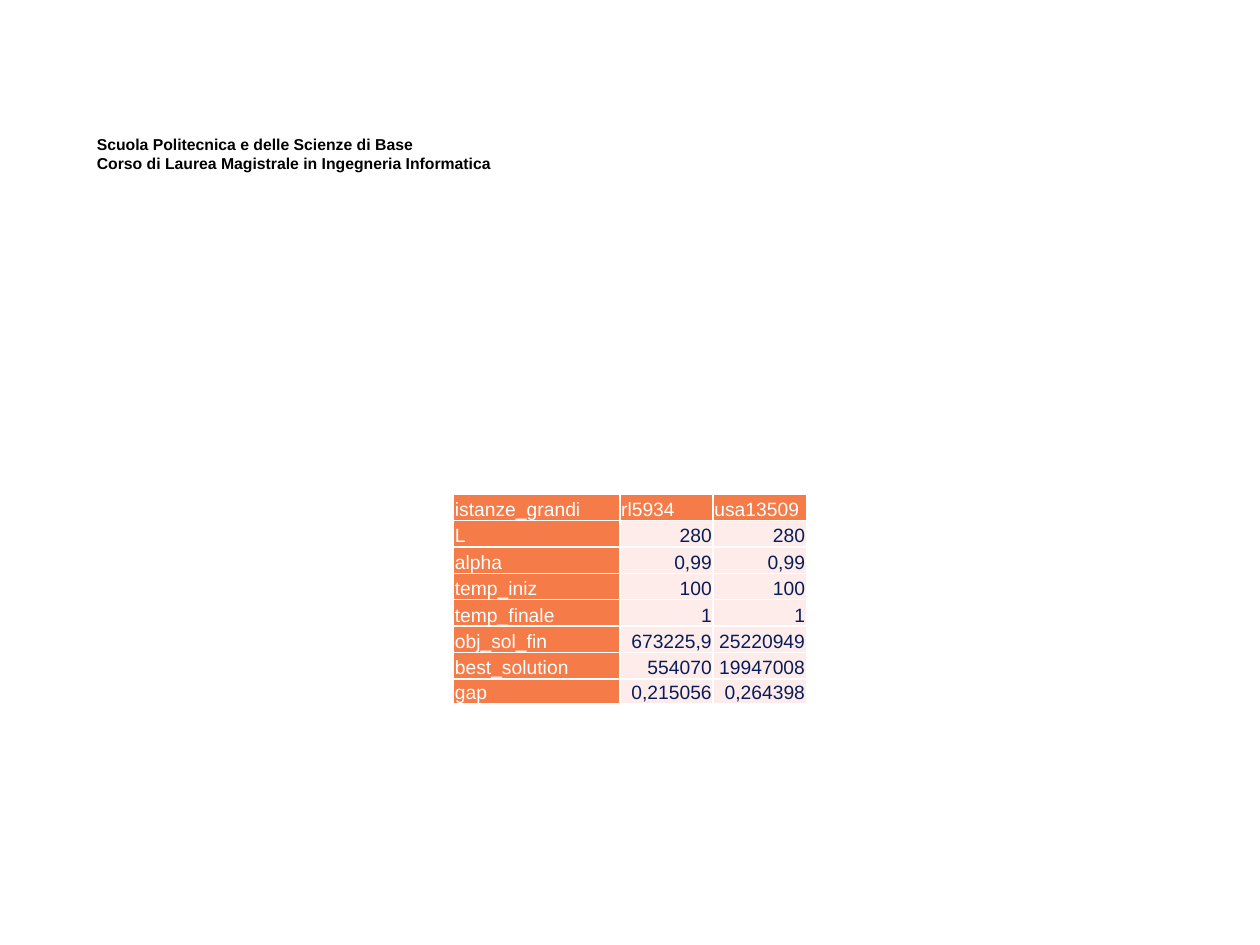
import pptx
import pptx.dml.color
import pptx.enum.text
import pptx.oxml
import pptx.oxml.ns
import pptx.util

Inches = pptx.util.Inches
Pt = pptx.util.Pt
RGBColor = pptx.dml.color.RGBColor

BLACK = RGBColor(0x00, 0x00, 0x00)
WHITE = RGBColor(0xFF, 0xFF, 0xFF)
ORANGE = RGBColor(0xF5, 0x7B, 0x49)
PALE_PINK = RGBColor(0xFD, 0xEC, 0xE9)
NAVY = RGBColor(0x08, 0x1D, 0x58)
FONT = "Arial"

SCHOOL_LINES = [
    "Scuola Politecnica e delle Scienze di Base",
    "Corso di Laurea Magistrale in Ingegneria Informatica",
]
RESULTS = [
    ["istanze_grandi", "rl5934", "usa13509"],
    ["L", "280", "280"],
    ["alpha", "0,99", "0,99"],
    ["temp_iniz", "100", "100"],
    ["temp_finale", "1", "1"],
    ["obj_sol_fin", "673225,9", "25220949"],
    ["best_solution", "554070", "19947008"],
    ["gap", "0,215056", "0,264398"],
]
COLUMN_WIDTHS = [1.32, 0.74, 0.74]
ROW_HEIGHTS = [0.21] * 7 + [0.18]


def format_text(text_frame, size, color, bold):
    for paragraph in text_frame.paragraphs:
        for run in paragraph.runs:
            run.font.name = FONT
            run.font.size = Pt(size)
            run.font.bold = bold
            run.font.color.rgb = color


def add_school_header(slide):
    header = slide.shapes.add_textbox(
        Inches(0.67), Inches(1.02), Inches(4.17), Inches(0.4))
    header.text_frame.word_wrap = True
    header.text_frame.text = "\n".join(SCHOOL_LINES)
    format_text(header.text_frame, 9, BLACK, True)


def set_borders(cell, color, width):
    """Draw all four sides; border elements must precede the cell fill."""
    properties = cell._tc.get_or_add_tcPr()
    for index, side in enumerate(("lnL", "lnR", "lnT", "lnB")):
        border = pptx.oxml.parse_xml(
            f'<a:{side} {pptx.oxml.ns.nsdecls("a")} w="{Pt(width)}">'
            f'<a:solidFill><a:srgbClr val="{color}"/></a:solidFill></a:{side}>')
        properties.insert(index, border)


def format_cell(cell, text, is_heading):
    cell.text_frame.text = text
    cell.margin_left = cell.margin_right = cell.margin_top = Inches(0.01)
    cell.margin_bottom = 0
    cell.vertical_anchor = pptx.enum.text.MSO_ANCHOR.BOTTOM
    cell.fill.solid()
    cell.fill.fore_color.rgb = ORANGE if is_heading else PALE_PINK
    align = pptx.enum.text.PP_ALIGN
    cell.text_frame.paragraphs[0].alignment = (
        align.LEFT if is_heading else align.RIGHT)
    format_text(cell.text_frame, 11, WHITE if is_heading else NAVY, False)
    set_borders(cell, WHITE, 1)


def add_results_table(slide):
    results = slide.shapes.add_table(
        len(RESULTS), len(COLUMN_WIDTHS), Inches(3.6), Inches(3.92),
        Inches(sum(COLUMN_WIDTHS)), Inches(sum(ROW_HEIGHTS))).table
    for column, width in zip(results.columns, COLUMN_WIDTHS):
        column.width = Inches(width)
    for row, height in zip(results.rows, ROW_HEIGHTS):
        row.height = Inches(height)
    for r, values in enumerate(RESULTS):
        for c, value in enumerate(values):
            format_cell(results.cell(r, c), value, r == 0 or c == 0)


def main():
    presentation = pptx.Presentation()
    presentation.slide_width = Inches(10)
    presentation.slide_height = Inches(7.5)
    slide = presentation.slides.add_slide(presentation.slide_layouts[6])

    # School and degree course
    add_school_header(slide)
    # Results for the large instances
    add_results_table(slide)

    presentation.save("out.pptx")


if __name__ == "__main__":
    main()
